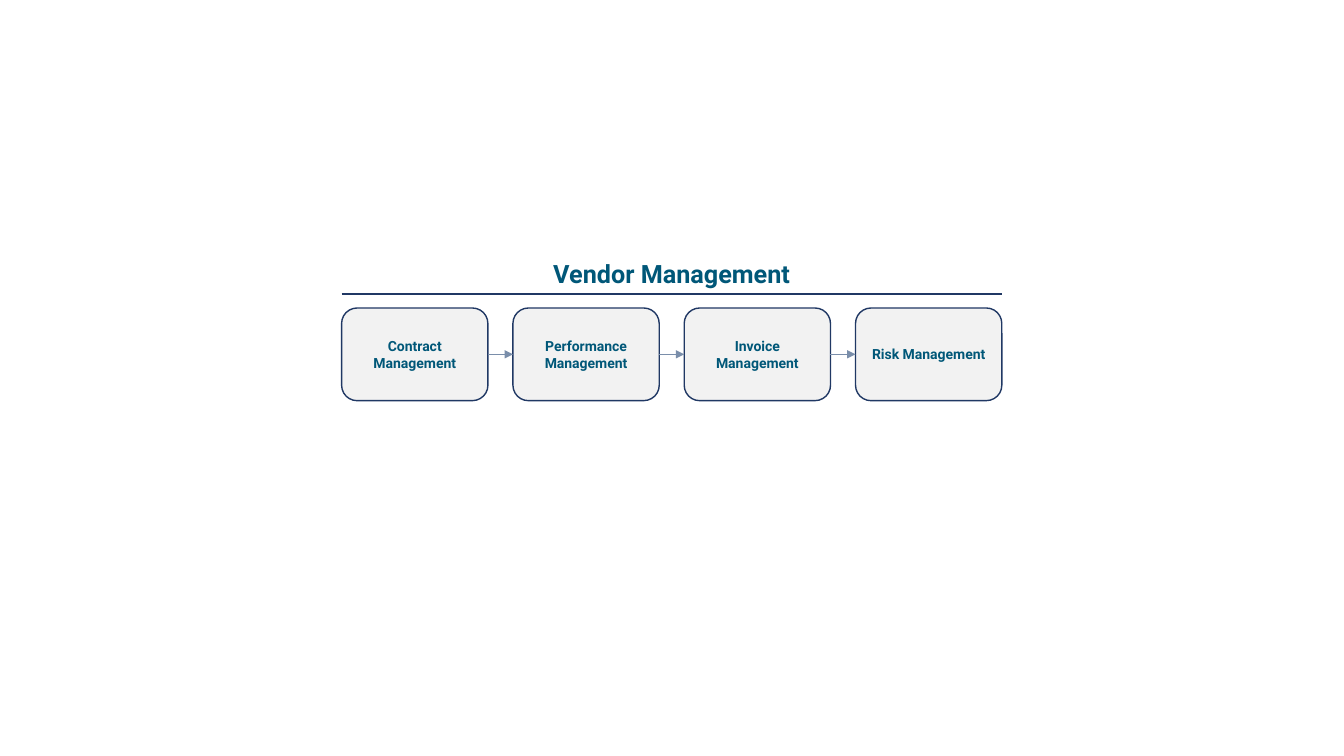
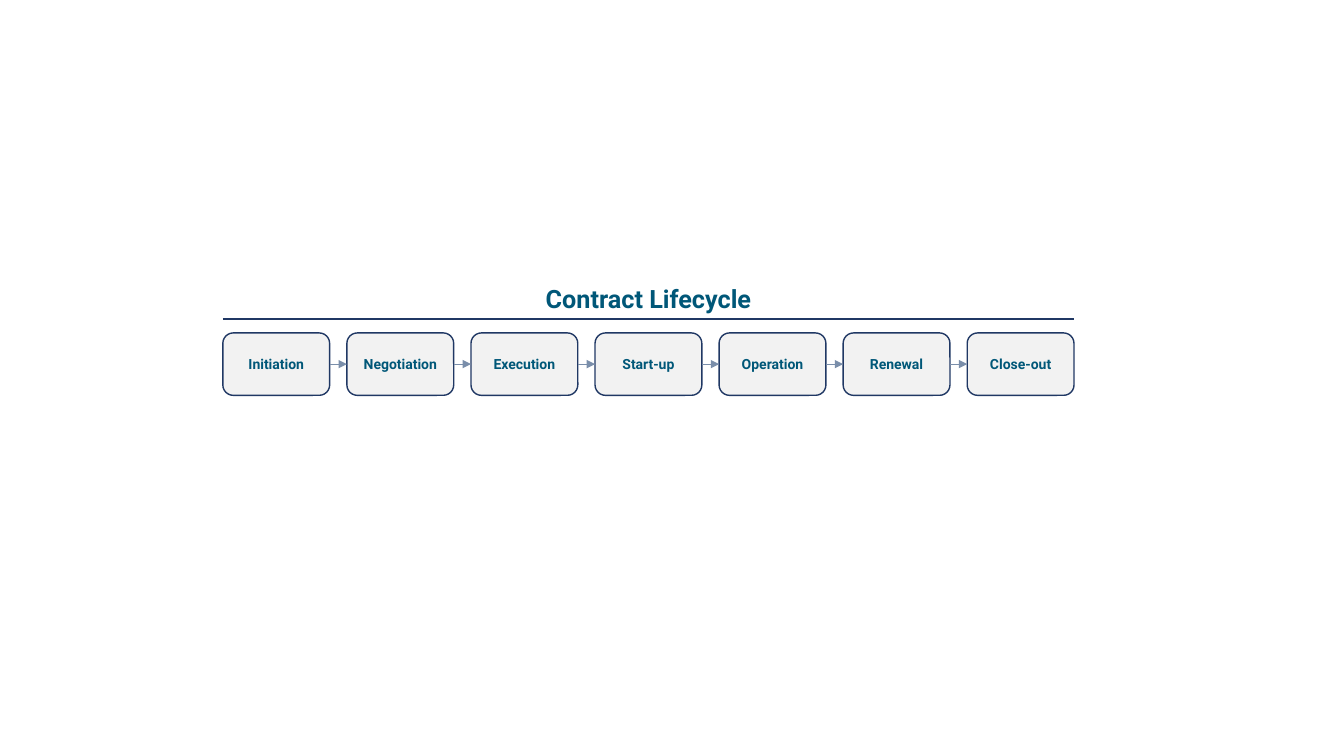
from dataclasses import dataclass

from pptx import Presentation
from pptx.dml.color import RGBColor as Color
from pptx.enum.shapes import MSO_CONNECTOR as Connector, MSO_SHAPE as Shape
from pptx.enum.text import MSO_ANCHOR as Anchor, MSO_AUTO_SIZE as AutoSize, PP_ALIGN as Align
from pptx.oxml.ns import qn
from pptx.util import Pt
from lxml.etree import SubElement

TITLE_ONLY = 5
TOP, LEFT, RIGHT = 0, 1, 3  # connection sites and offsets
TITLE_HEIGHT = 28.8
STEPS_OFFSET = 39


@dataclass(frozen=True)
class Theme:
    font: str = "Roboto"
    text: Color = Color(0x00, 0x57, 0x78)
    outline: Color = Color(0x20, 0x38, 0x64)
    arrow: Color = Color(0x7A, 0x8E, 0xAA)
    fill: Color = Color(0xF2, 0xF2, 0xF2)
    title_size: float = 18
    step_size: float = 10
    rule_width: float = 1.5
    box_line: float = 1
    arrow_width: float = 0.5


@dataclass(frozen=True)
class Box:
    left: float
    top: float
    width: float
    height: float

    def points(self):
        return [Pt(value) for value in (self.left, self.top, self.width, self.height)]


THEME = Theme()


def write(frame, text, size, anchor=Anchor.MIDDLE, align=Align.CENTER):
    """Put one formatted paragraph into a text frame."""
    frame.word_wrap = True
    frame.auto_size = AutoSize.NONE
    frame.vertical_anchor = anchor
    para = frame.paragraphs[0]
    para.alignment = align
    span = para.add_run()
    span.text = text
    span.font.name = THEME.font
    span.font.size = Pt(size)
    span.font.bold = True
    span.font.color.rgb = THEME.text


def add_line(page, start, end, color, width, arrow=False):
    """Draw a flat straight line, with an arrowhead at its end if asked."""
    line = page.shapes.add_connector(Connector.STRAIGHT, *map(Pt, (*start, *end)))
    line.line.color.rgb = color
    line.line.width = Pt(width)
    if arrow:
        SubElement(line.line._get_or_add_ln(), qn("a:tailEnd"), type="triangle")
    SubElement(line._element.spPr, qn("a:effectLst"))
    return line


def add_heading(page, text, box):
    """Place the title with a rule along its lower edge."""
    title = page.shapes.title
    title.left, title.top, title.width, title.height = box.points()
    write(title.text_frame, text, THEME.title_size, anchor=Anchor.TOP)
    bottom = box.top + box.height
    add_line(page, (box.left, bottom), (box.left + box.width, bottom),
             THEME.outline, THEME.rule_width)


def add_step(page, text, box):
    """Place one rounded process step."""
    step = page.shapes.add_shape(Shape.ROUNDED_RECTANGLE, *box.points())
    step.shadow.inherit = False
    step.fill.solid()
    step.fill.fore_color.rgb = THEME.fill
    step.line.color.rgb = THEME.outline
    step.line.width = Pt(THEME.box_line)
    write(step.text_frame, text, THEME.step_size)
    return step


def add_steps(page, labels, box, step_width):
    """Spread steps evenly across the box and join neighbours with arrows."""
    pitch = (box.width - step_width) / (len(labels) - 1)
    steps = [add_step(page, label,
                      Box(box.left + index * pitch, box.top, step_width, box.height))
             for index, label in enumerate(labels)]
    for before, after in zip(steps, steps[1:]):
        arrow = add_line(page, (0, 0), (0, 0), THEME.arrow, THEME.arrow_width, arrow=True)
        arrow.begin_connect(before, RIGHT)
        arrow.end_connect(after, LEFT)


def add_process_slide(deck, title, labels, box, step_width):
    """Build a slide with a ruled heading above a row of steps."""
    page = deck.slides.add_slide(deck.slide_layouts[TITLE_ONLY])
    add_heading(page, title, Box(box.left, box.top, box.width, TITLE_HEIGHT))
    steps_box = Box(box.left, box.top + STEPS_OFFSET, box.width, box.height - STEPS_OFFSET)
    add_steps(page, labels, steps_box, step_width)


def main():
    deck = Presentation()
    deck.slide_width, deck.slide_height = Pt(960), Pt(540)

    add_process_slide(
        deck, "Vendor Management",
        ["Contract Management", "Performance Management",
         "Invoice Management", "Risk Management"],
        Box(244, 181, 471.6, 105.2), step_width=104.5)

    add_process_slide(
        deck, "Contract Lifecycle",
        ["Initiation", "Negotiation", "Execution", "Start-up",
         "Operation", "Renewal", "Close-out"],
        Box(159.2, 198.8, 608, 83.6), step_width=76.3)

    deck.save("out.pptx")


if __name__ == "__main__":
    main()
